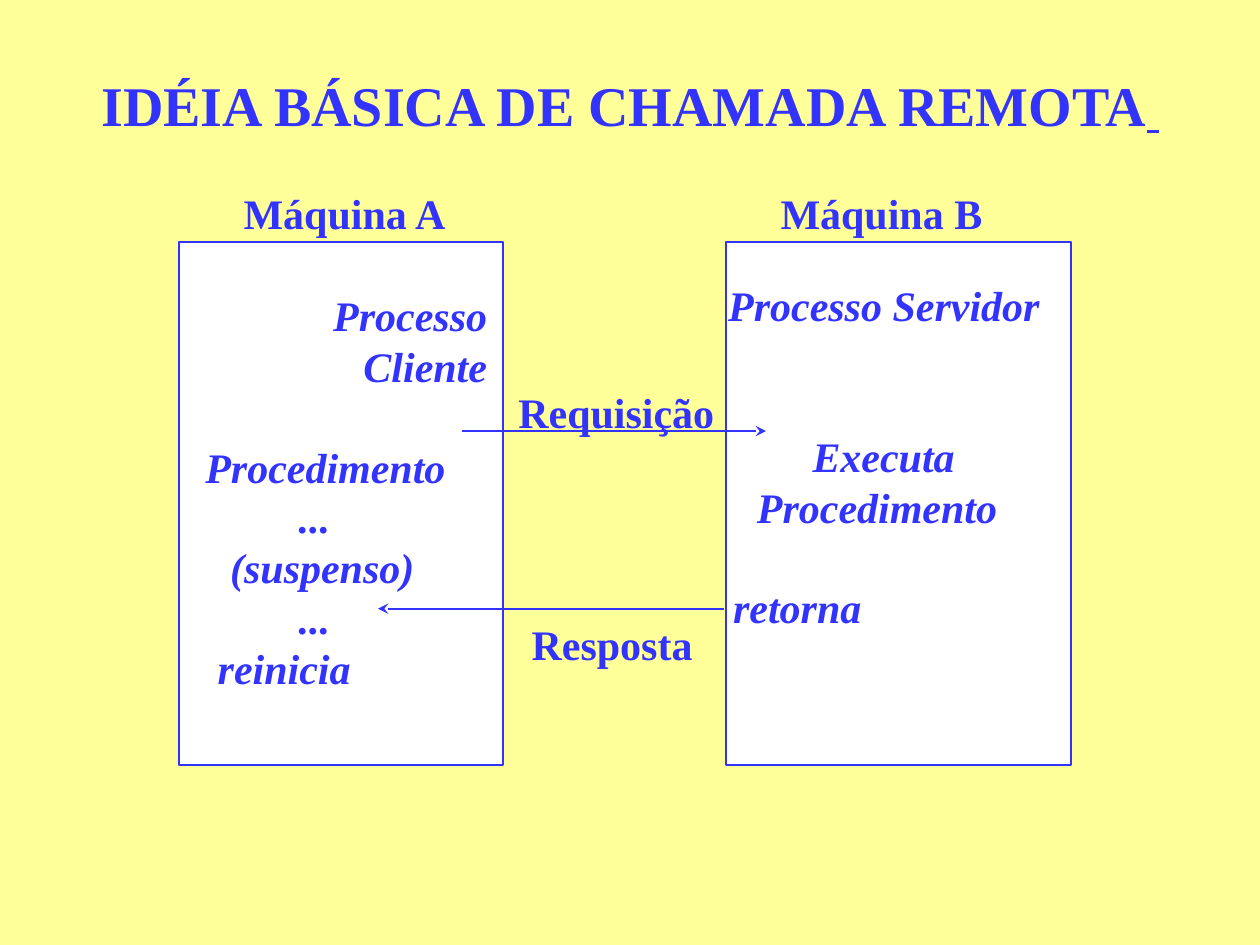
import dataclasses

import pptx
import pptx.dml.color
import pptx.enum.shapes
import pptx.enum.text
import pptx.oxml
import pptx.oxml.ns
import pptx.util

Cm = pptx.util.Cm
Pt = pptx.util.Pt
ALIGN = pptx.enum.text.PP_ALIGN


@dataclasses.dataclass(frozen=True)
class Theme:
    """Colours, font and sizes of the slide."""
    background: str = "FFFF99"
    ink: str = "3333FF"
    panel: str = "FFFFFF"
    font: str = "Times New Roman"
    title: float = 32
    title_end: float = 28
    text: float = 24
    leading: float = 28.8
    line: float = 1


THEME = Theme()
TITLE = "IDÉIA BÁSICA DE CHAMADA REMOTA"

# Left, top, width, height in centimetres
PANELS = [(3.61, 4.88, 6.53, 10.54), (14.63, 4.88, 6.96, 10.54)]
LABELS = [
    ("Máquina A", (4.52, 3.66, 4.85, 1.27)),
    ("Máquina B", (15.37, 3.66, 4.8, 1.27)),
    ("Requisição", (10.19, 7.67, 4.47, 1.27)),
    ("Resposta", (10.46, 12.34, 3.76, 1.27)),
]
# Each step: text, left indent in centimetres, empty lines above, alignment
PROCESSES = [
    ((3.89, 5.72, 6.18, 7.37), [
        ("Processo Cliente", 2, 0, ALIGN.RIGHT),
        ("Procedimento", 0, 1, ALIGN.LEFT),
        ("...", 1.88, 0, ALIGN.LEFT),
        ("(suspenso)", 0.5, 0, ALIGN.LEFT),
        ("...", 1.88, 0, ALIGN.LEFT),
        ("reinicia", 0.25, 0, ALIGN.LEFT),
    ]),
    ((14.43, 5.51, 7.1, 7.37), [
        ("Processo Servidor", 0, 0, ALIGN.LEFT),
        ("Executa", 1.7, 2, ALIGN.LEFT),
        ("Procedimento", 0.58, 0, ALIGN.LEFT),
        ("retorna", 0.1, 1, ALIGN.LEFT),
    ]),
]
# Start x, end x, y in centimetres
ARROWS = [(9.32, 15.44, 8.69), (14.6, 7.62, 12.27)]


def color(value):
    """Return an RGB colour from its hex text."""
    return pptx.dml.color.RGBColor.from_string(value)


def style(font, size, italic=False):
    """Apply the shared bold face to a font."""
    font.name = THEME.font
    font.size = Pt(size)
    font.bold = True
    font.italic = italic
    font.color.rgb = color(THEME.ink)


def stroke(line):
    """Apply the shared outline."""
    line.color.rgb = color(THEME.ink)
    line.width = Pt(THEME.line)


def add_title(slide):
    """Fill the title placeholder, ending in an underlined space."""
    title = slide.shapes.title
    title.left, title.top, title.width, title.height = map(
        Cm, (0.64, 0.5, 24.13, 3.18))
    frame = title.text_frame
    frame.word_wrap = True
    frame.auto_size = pptx.enum.text.MSO_AUTO_SIZE.NONE
    frame.vertical_anchor = pptx.enum.text.MSO_ANCHOR.MIDDLE
    paragraph = frame.paragraphs[0]
    paragraph.alignment = ALIGN.CENTER
    style(paragraph.font, THEME.title)
    for text, size, underline in [(TITLE, THEME.title, False),
                                  (" ", THEME.title_end, True)]:
        run = paragraph.add_run()
        run.text = text
        style(run.font, size)
        run.font.underline = underline


def add_panel(slide, box):
    """Draw the rectangle of one machine."""
    shape = slide.shapes.add_shape(
        pptx.enum.shapes.MSO_SHAPE.RECTANGLE, *map(Cm, box))
    shape.shadow.inherit = False
    shape.fill.solid()
    shape.fill.fore_color.rgb = color(THEME.panel)
    stroke(shape.line)


def add_text(slide, box, steps, italic=False, wrap=False):
    """Add a text box with one indented paragraph for each step."""
    frame = slide.shapes.add_textbox(*map(Cm, box)).text_frame
    frame.word_wrap = wrap
    for index, (text, indent, gap, alignment) in enumerate(steps):
        paragraph = frame.add_paragraph() if index else frame.paragraphs[0]
        paragraph.text = text
        paragraph.alignment = alignment
        paragraph.line_spacing = Pt(THEME.leading)
        paragraph.space_before = Pt(gap * THEME.leading)
        properties = paragraph._p.get_or_add_pPr()
        properties.set("marL", str(Cm(indent)))
        properties.set("indent", "0")
        style(paragraph.font, THEME.text, italic)


def add_arrow(slide, start, end, y):
    """Draw a horizontal arrow with a stealth head."""
    connector = slide.shapes.add_connector(
        pptx.enum.shapes.MSO_CONNECTOR.STRAIGHT,
        Cm(start), Cm(y), Cm(end), Cm(y))
    stroke(connector.line)
    head = pptx.oxml.parse_xml(
        f'<a:tailEnd {pptx.oxml.ns.nsdecls("a")} type="stealth"/>')
    connector.line._get_or_add_ln().append(head)
    connector._element.spPr.append(pptx.oxml.parse_xml(
        f'<a:effectLst {pptx.oxml.ns.nsdecls("a")}/>'))


def build():
    """Build and save the slide."""
    presentation = pptx.Presentation()
    presentation.slide_width = Cm(25.4)
    presentation.slide_height = Cm(19.05)
    slide = presentation.slides.add_slide(presentation.slide_layouts[5])
    slide.background.fill.solid()
    slide.background.fill.fore_color.rgb = color(THEME.background)
    add_title(slide)
    for box in PANELS:
        add_panel(slide, box)
    for box, steps in PROCESSES:
        add_text(slide, box, steps, italic=True, wrap=True)
    for arrow in ARROWS:
        add_arrow(slide, *arrow)
    for text, box in LABELS:
        add_text(slide, box, [(text, 0, 0, ALIGN.CENTER)])
    presentation.save("out.pptx")


build()
